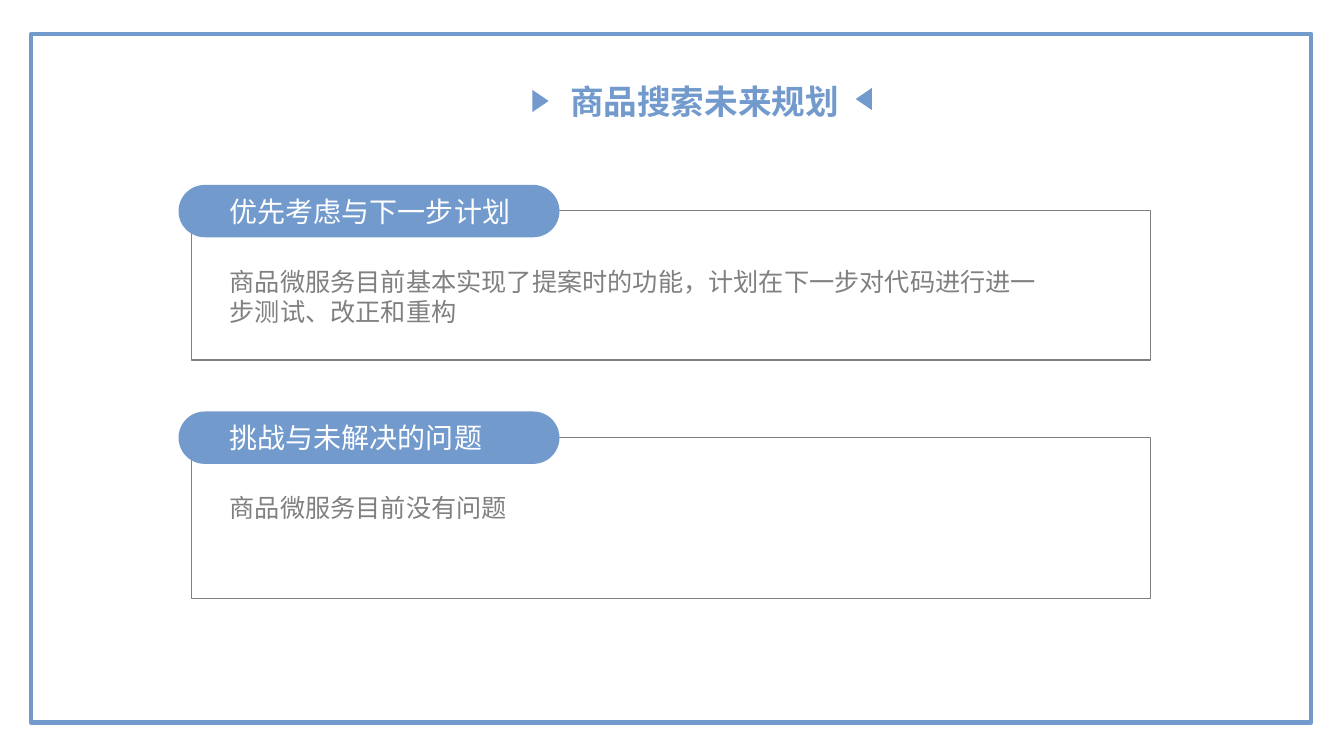
from dataclasses import dataclass

from lxml import etree
from pptx import Presentation
from pptx import util as u
from pptx.dml import color
from pptx.enum import shapes, text
from pptx.oxml import ns


@dataclass(frozen=True)
class Theme:
    blue: str = "729ACD"
    grey: str = "808080"
    white: str = "FFFFFF"
    title_size: int = 24
    label_size: int = 20
    body_size: int = 18
    label_font: str = "Arial"
    body_font: str = "Times New Roman"
    cjk_font: str = "Noto Sans CJK SC"


@dataclass(frozen=True)
class Area:
    left: float
    top: float
    width: float
    height: float

    def lengths(self) -> list[u.Length]:
        return [u.Cm(value) for value in (self.left, self.top, self.width, self.height)]


@dataclass(frozen=True)
class Card:
    top: float
    height: float
    label: str
    body: str
    body_width: float
    body_height: float


@dataclass(frozen=True)
class Arrow:
    area: Area
    rotation: int


THEME = Theme()
CARDS = [
    Card(5.31, 3.76, "优先考虑与下一步计划",
         "商品微服务目前基本实现了提案时的功能，计划在下一步对代码进行进一步测试、改正和重构", 21.03, 1.8),
    Card(11.02, 4.06, "挑战与未解决的问题", "商品微服务目前没有问题", 10.19, 1.02),
]
ARROWS = [
    Arrow(Area(13.34, 2.34, 0.56, 0.41), 90),
    Arrow(Area(21.49, 2.29, 0.56, 0.41), 270),
]


def add_figure(page, kind, area: Area, fill: str = "", line: str = "", weight: float = 1):
    """Add a preset shape that is filled, outlined or both."""
    figure = page.shapes.add_shape(kind, *area.lengths())
    figure.shadow.inherit = False
    if fill:
        figure.fill.solid()
        figure.fill.fore_color.rgb = color.RGBColor.from_string(fill)
    else:
        figure.fill.background()
    if line:
        figure.line.color.rgb = color.RGBColor.from_string(line)
        figure.line.width = u.Pt(weight)
    else:
        figure.line.fill.background()
    return figure


def add_text(page, area: Area, words: str, font: str, size: int, tint: str,
             bold: bool = False, wrap: bool = True) -> None:
    """Add a one-paragraph text box."""
    box = page.shapes.add_textbox(*area.lengths())
    box.text_frame.word_wrap = wrap
    box.text_frame.auto_size = text.MSO_AUTO_SIZE.SHAPE_TO_FIT_TEXT
    para = box.text_frame.paragraphs[0]
    span = para.add_run()
    span.text = words
    formats = {"name": font, "size": u.Pt(size), "bold": bold}
    for name, value in formats.items():
        setattr(span.font, name, value)
    span.font.color.rgb = color.RGBColor.from_string(tint)
    # East Asian typeface
    properties = span.font._element
    etree.SubElement(properties, ns.qn("a:ea")).set("typeface", THEME.cjk_font)


def add_card(page, card: Card) -> None:
    """Add an outlined card with a pill label on its top edge."""
    pill_top = card.top - 0.65
    add_figure(page, shapes.MSO_SHAPE.RECTANGLE,
               Area(4.83, card.top, 24.16, card.height), line=THEME.grey)
    pill = add_figure(page, shapes.MSO_SHAPE.ROUNDED_RECTANGLE,
                      Area(4.5, pill_top, 9.6, 1.32), fill=THEME.blue)
    pill.adjustments[0] = 0.5
    add_text(page, Area(5.54, pill_top + 0.11, 8.08, 1.12), card.label,
             THEME.label_font, THEME.label_size, THEME.white)
    add_text(page, Area(5.54, pill_top + 1.92, card.body_width, card.body_height), card.body,
             THEME.body_font, THEME.body_size, THEME.grey)


def main() -> None:
    deck = Presentation()
    deck.slide_width, deck.slide_height = u.Cm(33.87), u.Cm(19.05)
    page = deck.slides.add_slide(deck.slide_layouts[6])

    # Page frame
    add_figure(page, shapes.MSO_SHAPE.RECTANGLE, Area(0.79, 0.86, 32.26, 17.35),
               line=THEME.blue, weight=3)

    # Cards
    for card in CARDS:
        add_card(page, card)

    # Title between two arrows
    add_text(page, Area(14.12, 1.91, 7.29, 1.27), "商品搜索未来规划",
             THEME.cjk_font, THEME.title_size, THEME.blue, bold=True, wrap=False)
    for arrow in ARROWS:
        triangle = add_figure(page, shapes.MSO_SHAPE.ISOSCELES_TRIANGLE, arrow.area,
                              fill=THEME.blue)
        triangle.rotation = arrow.rotation

    deck.save("out.pptx")


if __name__ == "__main__":
    main()
